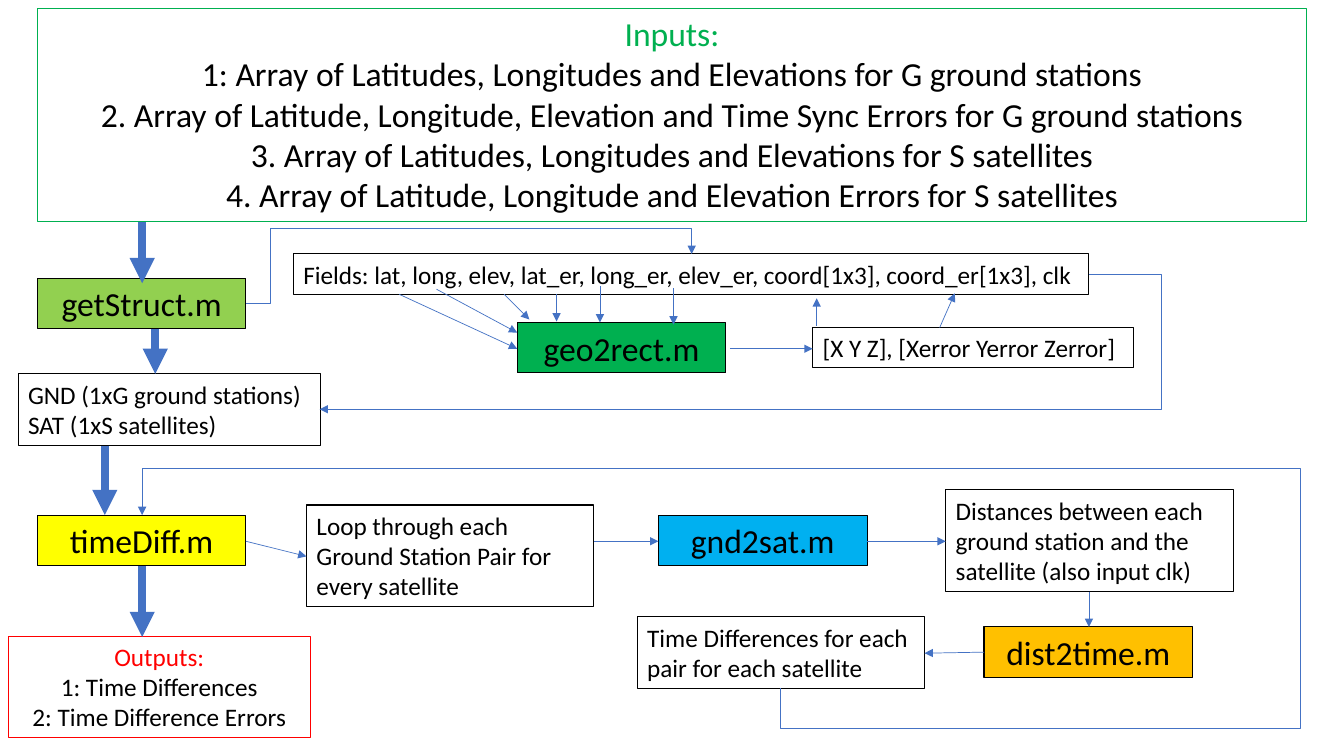
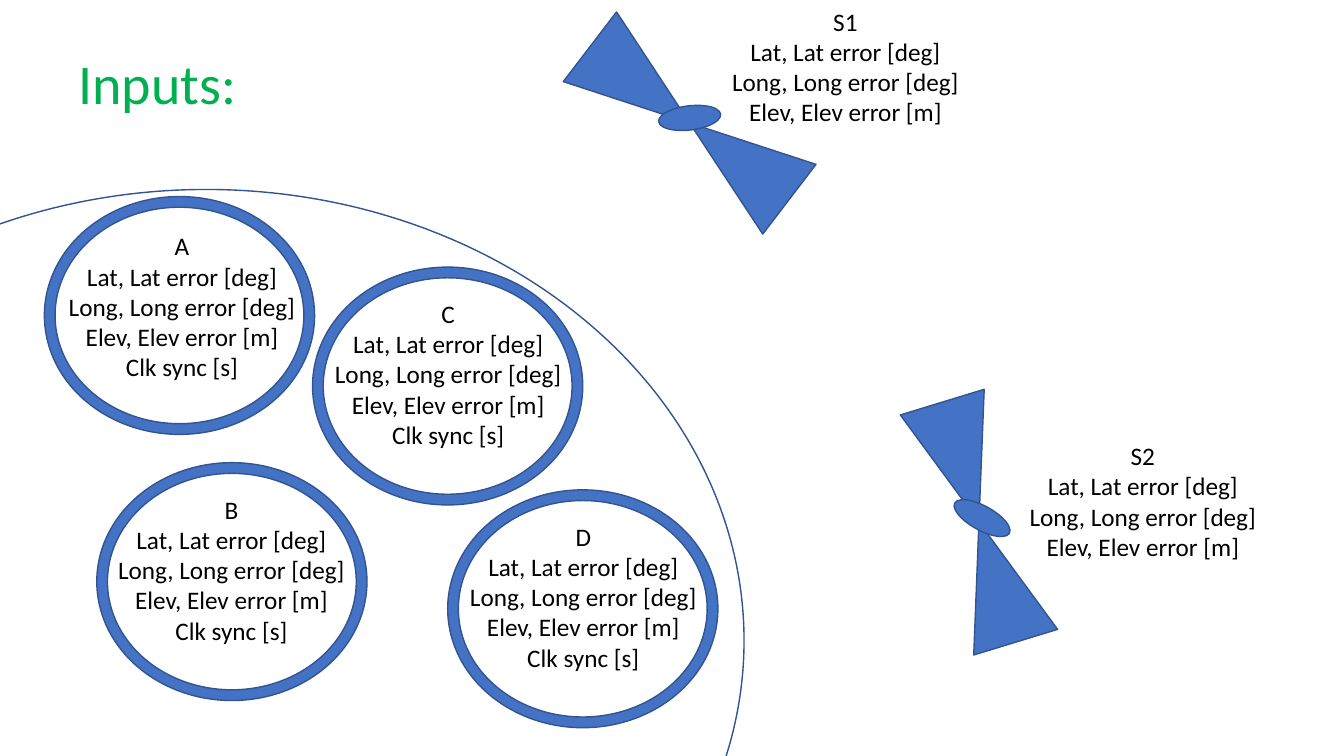
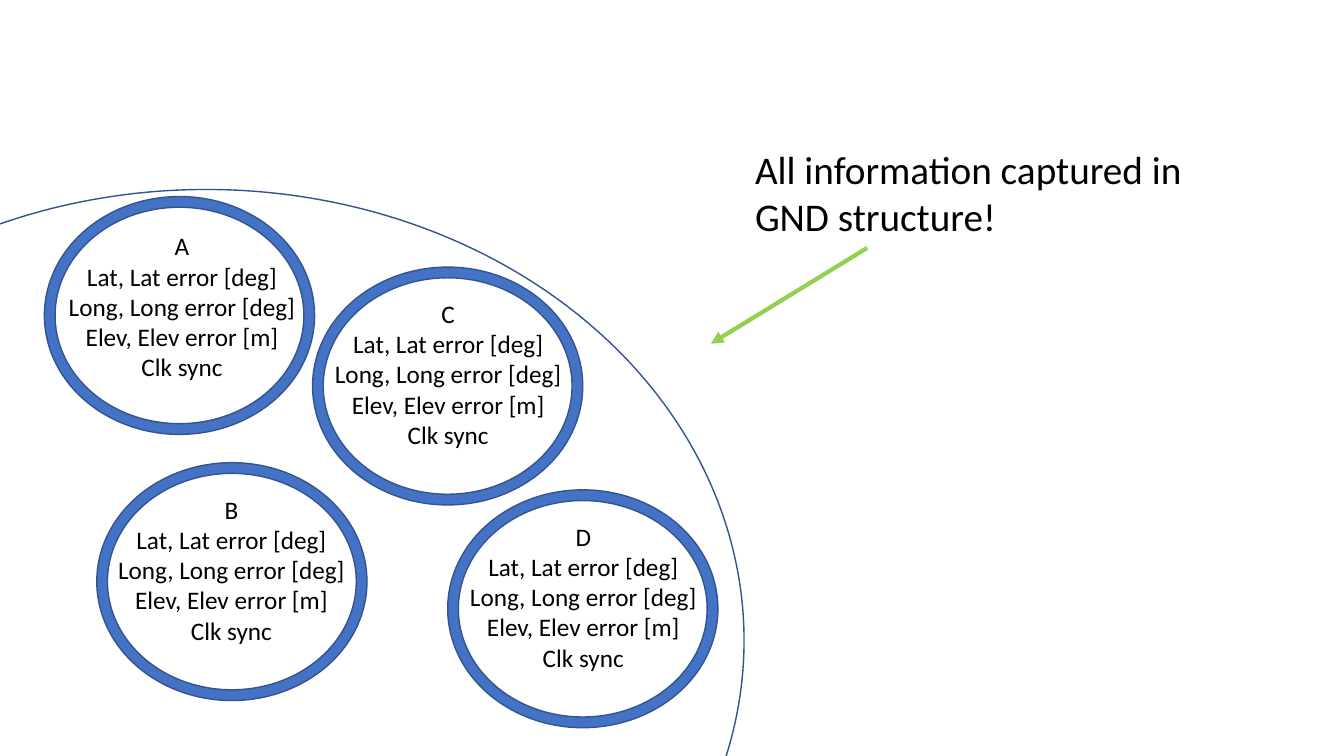
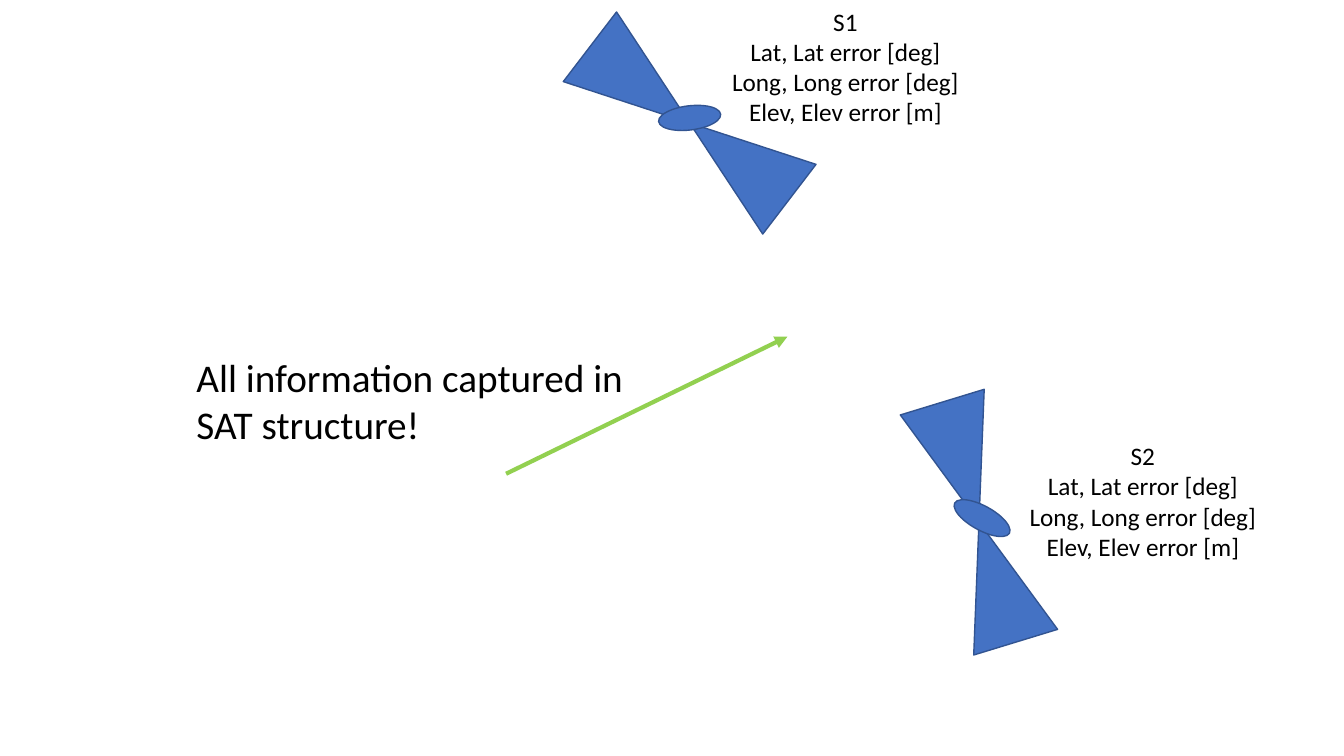
import pptx
import pptx.util
import pptx.dml.color
import pptx.enum.shapes
import pptx.enum.text
import pptx.oxml
import pptx.oxml.ns
import pptx.oxml.xmlchemy

Inches = pptx.util.Inches
Pt = pptx.util.Pt
RGBColor = pptx.dml.color.RGBColor
SHAPE = pptx.enum.shapes.MSO_SHAPE
ALIGN = pptx.enum.text.PP_ALIGN
OxmlElement = pptx.oxml.xmlchemy.OxmlElement

FONT = "Calibri"
BLACK = RGBColor(0x00, 0x00, 0x00)
WHITE = RGBColor(0xFF, 0xFF, 0xFF)
RED = RGBColor(0xFF, 0x00, 0x00)
YELLOW = RGBColor(0xFF, 0xFF, 0x00)
ORANGE = RGBColor(0xFF, 0xC0, 0x00)
SKY = RGBColor(0x00, 0xB0, 0xF0)
GREEN = RGBColor(0x00, 0xB0, 0x50)
LIME = RGBColor(0x92, 0xD0, 0x50)
BLUE = RGBColor(0x44, 0x72, 0xC4)
NAVY = RGBColor(0x32, 0x54, 0x91)

FUNCTION_SIZE = (2.07, 0.5)
FUNCTIONS = [
    ("timeDiff.m", 0.37, 5.11, YELLOW),
    ("getStruct.m", 0.37, 2.76, LIME),
    ("dist2time.m", 9.76, 6.22, ORANGE),
    ("gnd2sat.m", 6.53, 5.11, SKY),
    ("geo2rect.m", 5.13, 3.2, GREEN),
]
INPUT_LINES = [
    "Inputs:",
    "1: Array of Latitudes, Longitudes and Elevations for G ground stations",
    "2. Array of Latitude, Longitude, Elevation and Time Sync Errors for G ground stations",
    "3. Array of Latitudes, Longitudes and Elevations for S satellites",
    "4. Array of Latitude, Longitude and Elevation Errors for S satellites",
]
OUTPUT_LINES = ["Outputs:", "1: Time Differences", "2: Time Difference Errors"]
DATA_BOXES = [
    (["GND (1xG ground stations)", "SAT (1xS satellites)"], (0.18, 3.71, 3, 0.71)),
    (["Fields: lat, long, elev, lat_er, long_er, elev_er, coord[1x3], coord_er[1x3], clk"],
     (2.91, 2.52, 7.89, 0.4)),
    (["[X Y Z], [Xerror Yerror Zerror]"], (8.06, 3.25, 3.18, 0.4)),
    (["Loop through each Ground Station Pair for every satellite"], (3.04, 5.01, 2.85, 1.01)),
    (["Distances between each ground station and the satellite (also input clk)"],
     (9.38, 4.86, 2.85, 1.01)),
    (["Time Differences for each pair for each satellite"], (6.32, 6.12, 2.85, 0.71)),
]
MAIN_ARROWS = [
    ((1.41, 2.2), (1.41, 2.81)),
    ((1.54, 3.26), (1.54, 3.71)),
    ((1.04, 4.42), (1.04, 5.11)),
    ((1.41, 5.62), (1.41, 6.32)),
]
THIN_ARROWS = [
    ((3.96, 2.92), (5.13, 3.46)),
    ((4.33, 2.87), (5.13, 3.3)),
    ((5, 2.92), (5.25, 3.17)),
    ((5.52, 2.92), (5.52, 3.19)),
    ((5.95, 2.84), (5.95, 3.2)),
    ((6.68, 2.86), (6.68, 3.22)),
    ((8.1, 3.23), (8.1, 2.96)),
    ((9.32, 3.25), (9.47, 2.91)),
    ((7.24, 3.46), (8.06, 3.46)),
    ((2.44, 5.37), (3.04, 5.52)),
    ((5.89, 5.37), (6.53, 5.37)),
    ((8.6, 5.37), (9.38, 5.37)),
    ((10.8, 5.87), (10.8, 6.22)),
    ((9.76, 6.47), (9.17, 6.48)),
]
BENT_ARROWS = [
    [(10.8, 2.72), (11.52, 2.72), (11.52, 4.06), (3.17, 4.06)],
    [(2.44, 3.01), (2.68, 3.01), (2.68, 2.27), (6.86, 2.27), (6.86, 2.52)],
    [(7.74, 6.83), (7.74, 7.23), (12.9, 7.23), (12.9, 4.65), (1.41, 4.65), (1.41, 5.11)],
]

POSITION_LINES = ["Lat, Lat error [deg]", "Long, Long error [deg]", "Elev, Elev error [m]"]
EARTH = (-3.29, 1.88, 10.67, 8.95)
STATION_SIZE = (2.68, 2.36)
STATION_TEXT_SIZE = (2.61, 1.62)
STATIONS = [
    ("A", (0.44, 1.95), (0.5, 2.24)),
    ("C", (3.1, 2.65), (3.14, 2.91)),
    ("D", (4.44, 4.86), (4.48, 5.12)),
    ("B", (0.96, 4.59), (0.99, 4.85)),
]
PANEL_SIZE = (0.87, 2.49)
BODY_SIZE = (0.62, 0.24)
SATELLITE_TEXT_SIZE = (2.61, 1.31)
SATELLITES = [
    ("S1", (6.84, 1.22), 307.4, (6.84, 1.17), 353.2, (7.08, 0.01)),
    ("S2", (9.71, 5.18), 343, (9.74, 5.14), 28.9, (10.03, 4.32)),
]


def add_preset(shapes, kind, box, fill, outline, weight):
    shape = shapes.add_shape(kind, *[Inches(length) for length in box])
    shape.shadow.inherit = False
    if fill is None:
        shape.fill.background()
    else:
        shape.fill.solid()
        shape.fill.fore_color.rgb = fill
    shape.line.color.rgb = outline
    shape.line.width = Pt(weight)
    return shape


def write_lines(shape, lines, size, align=ALIGN.LEFT, first_color=BLACK):
    frame = shape.text_frame
    frame.word_wrap = True
    frame.vertical_anchor = pptx.enum.text.MSO_ANCHOR.TOP
    frame.text = "\n".join(lines)
    for index, paragraph in enumerate(frame.paragraphs):
        paragraph.alignment = align
        font = paragraph.runs[0].font
        font.name = FONT
        font.size = Pt(size)
        font.color.rgb = first_color if index == 0 else BLACK


def add_box(slide, lines, box, size=18, align=ALIGN.LEFT, fill=None, outline=BLACK,
            first_color=BLACK):
    shape = add_preset(slide.shapes, SHAPE.RECTANGLE, box, fill, outline, 0.75)
    write_lines(shape, lines, size, align, first_color)


def add_label(slide, lines, box, size=18, align=ALIGN.LEFT, color=BLACK):
    shape = slide.shapes.add_textbox(*[Inches(length) for length in box])
    write_lines(shape, lines, size, align, color)


def add_arrow(slide, points, color, weight):
    corners = [(Inches(x), Inches(y)) for x, y in points]
    if len(corners) == 2:
        arrow = slide.shapes.add_connector(
            pptx.enum.shapes.MSO_CONNECTOR.STRAIGHT, *corners[0], *corners[1])
    else:
        builder = slide.shapes.build_freeform(*corners[0])
        builder.add_line_segments(corners[1:], close=False)
        arrow = builder.convert_to_shape()
        arrow.fill.background()
    arrow.line.color.rgb = color
    arrow.line.width = Pt(weight)
    properties = arrow._element.spPr
    head = OxmlElement("a:tailEnd")
    head.set("type", "triangle")
    properties.find(pptx.oxml.ns.qn("a:ln")).append(head)
    properties.append(OxmlElement("a:effectLst"))


def add_ground(slide, clock_line):
    add_preset(slide.shapes, SHAPE.OVAL, EARTH, WHITE, NAVY, 1)
    for name, ring_corner, text_corner in STATIONS:
        ring = add_preset(slide.shapes, SHAPE.DONUT, ring_corner + STATION_SIZE, BLUE, NAVY, 1)
        ring.adjustments[0] = 0.045
        add_label(slide, [name] + POSITION_LINES + [clock_line],
                  text_corner + STATION_TEXT_SIZE, align=ALIGN.CENTER)


def add_satellites(slide):
    for name, panel_center, panel_turn, body_center, body_turn, text_corner in SATELLITES:
        group = slide.shapes.add_group_shape()
        for kind, center, size, turn in (
            (SHAPE.FLOWCHART_COLLATE, panel_center, PANEL_SIZE, panel_turn),
            (SHAPE.OVAL, body_center, BODY_SIZE, body_turn),
        ):
            box = (center[0] - size[0] / 2, center[1] - size[1] / 2) + size
            add_preset(group.shapes, kind, box, BLUE, NAVY, 1).rotation = turn
        add_label(slide, [name] + POSITION_LINES, text_corner + SATELLITE_TEXT_SIZE,
                  align=ALIGN.CENTER)


def add_note(slide, structure, corner, arrow_points):
    add_label(slide, [f"All information captured in {structure} structure!"],
              corner + (4.97, 1.04), size=28)
    add_arrow(slide, arrow_points, LIME, 3)


presentation = pptx.Presentation()
presentation.slide_width = Inches(13.33)
presentation.slide_height = Inches(7.5)
flow, inputs, ground, space = [
    presentation.slides.add_slide(presentation.slide_layouts[6]) for _ in range(4)]

for name, left, top, fill in FUNCTIONS:
    add_box(flow, [name], (left, top) + FUNCTION_SIZE, 24, ALIGN.CENTER, fill)
add_box(flow, INPUT_LINES, (0.37, 0.08, 12.59, 2.12), 24, ALIGN.CENTER, WHITE, GREEN, GREEN)
for lines, box in DATA_BOXES:
    add_box(flow, lines, box)
add_box(flow, OUTPUT_LINES, (0.08, 6.31, 3, 1.01), 18, ALIGN.CENTER, None, RED, RED)
for points in MAIN_ARROWS:
    add_arrow(flow, points, BLUE, 6)
for points in THIN_ARROWS + BENT_ARROWS:
    add_arrow(flow, points, BLUE, 0.5)

add_ground(inputs, "Clk sync [s]")
add_satellites(inputs)
add_label(inputs, ["Inputs:"], (0.68, 0.43, 2.83, 0.77), size=40, color=GREEN)

add_ground(ground, "Clk sync")
add_note(ground, "GND", (7.39, 1.39), [(8.6, 2.46), (7.05, 3.41)])

add_satellites(space)
add_note(space, "SAT", (1.85, 3.46), [(5.02, 4.7), (7.81, 3.34)])

presentation.save("out.pptx")
